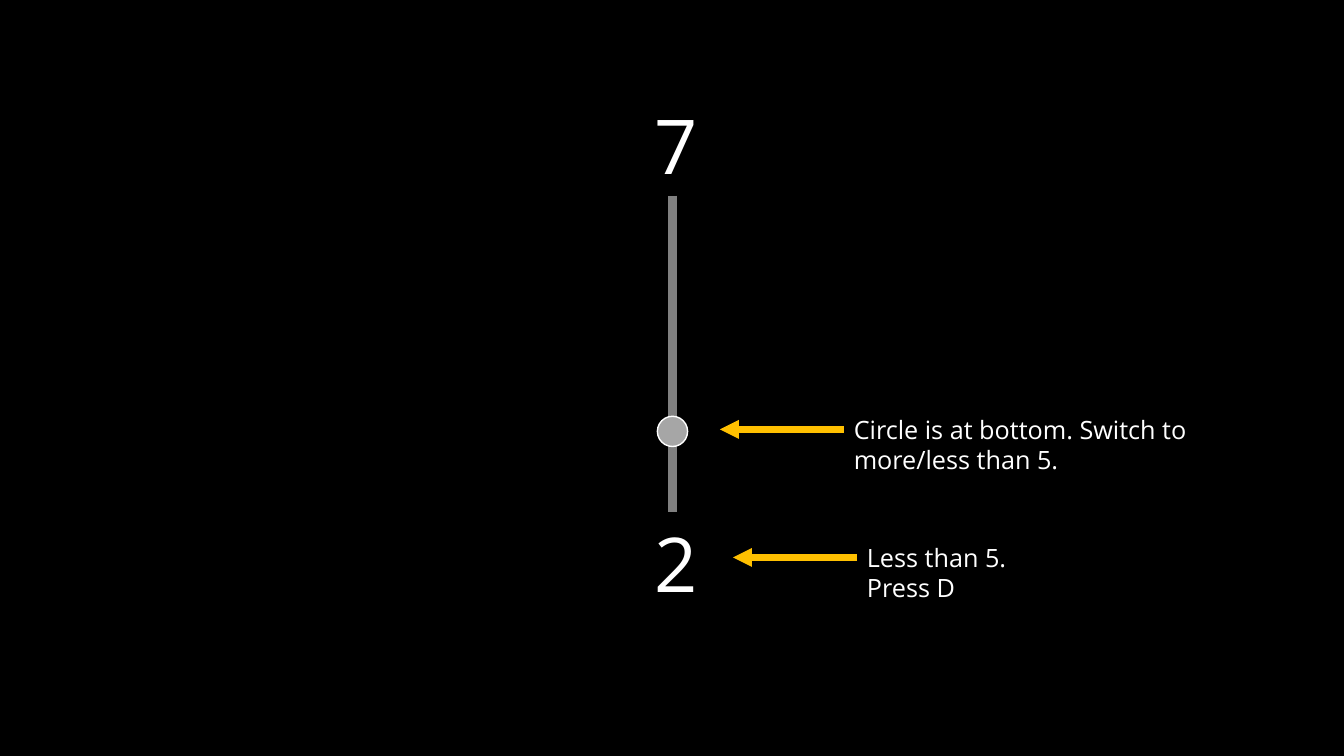
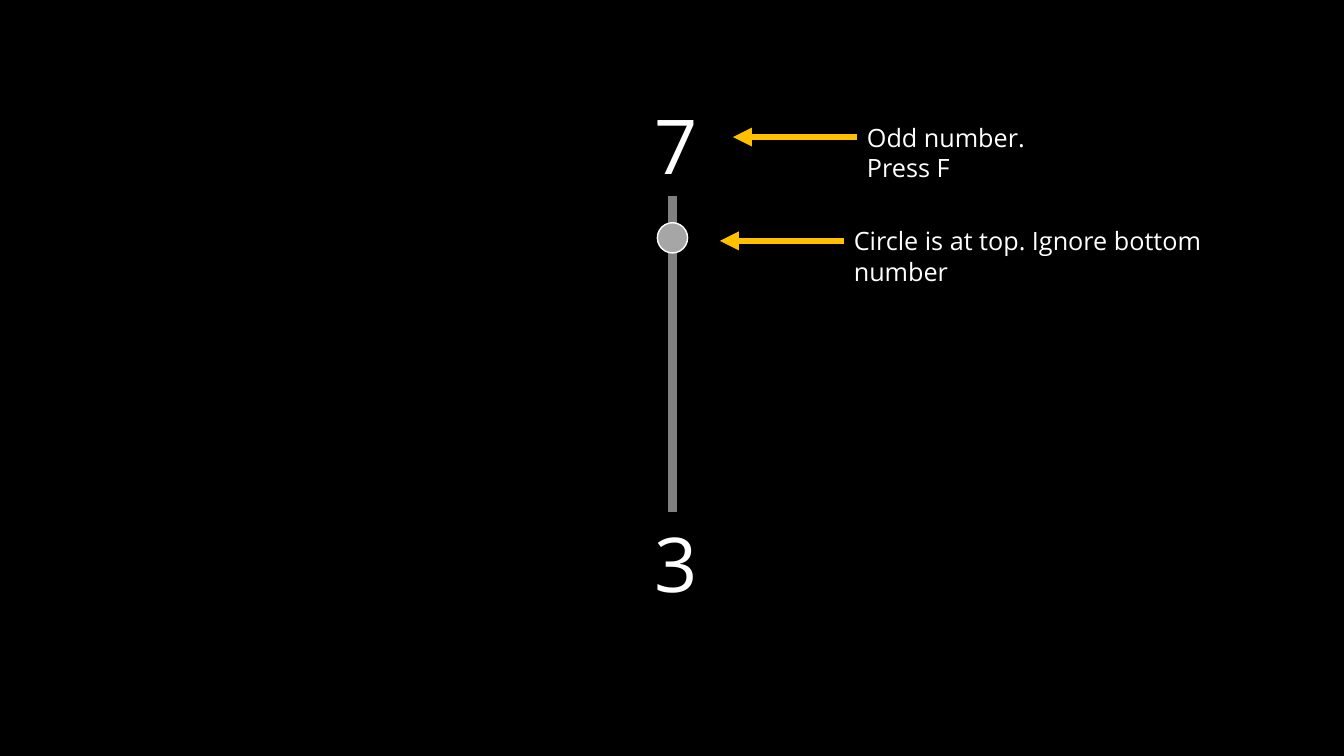
from pptx import Presentation
from pptx.dml.color import RGBColor
from pptx.enum import shapes, text
from pptx.oxml.ns import qn
from pptx.util import Inches, Pt
from lxml import etree

# Content: top number, bottom number, circle top, notes (text, left, arrow height, width)
SLIDES = [
    ("7", "2", 4.13, [
        ("Less than 5. Press D", 8.5, 5.53, 2.07),
        ("Circle is at bottom. Switch to more/less than 5.", 8.37, 4.26, 4.5)]),
    ("7", "3", 2.21, [
        ("Odd number. Press F", 8.5, 1.36, 2.2),
        ("Circle is at top. Ignore bottom number", 8.37, 2.39, 3.83)]),
]

# Shared style
FONT = "Open Sans"
BLACK, WHITE, GOLD = "000000", "FFFFFF", "FFC000"
TRACK_GRAY, CIRCLE_GRAY = "808080", "A6A6A6"
TRACK_X, TRACK_TOP, TRACK_BOTTOM = 6.67, 1.94, 5.08
NUMBER_LEFT, NUMBER_W, NUMBER_H = 6.39, 0.54, 1.01
CIRCLE = 0.3
ARROW = 1.23
NOTE_H = 0.4


def color(value):
    return RGBColor.from_string(value)


def add_text(s, words, left, top, width, height, size, wrap):
    tf = s.shapes.add_textbox(Inches(left), Inches(top),
                              Inches(width), Inches(height)).text_frame
    tf.word_wrap = wrap
    tf.auto_size = text.MSO_AUTO_SIZE.SHAPE_TO_FIT_TEXT
    tf.text = words
    font = tf.paragraphs[0].runs[0].font
    font.name, font.size = FONT, Pt(size)
    font.color.rgb = color(WHITE)


def add_line(s, x1, y1, x2, y2, line_color, width, arrow=False):
    line = s.shapes.add_connector(shapes.MSO_CONNECTOR.STRAIGHT,
                                  Inches(x1), Inches(y1), Inches(x2), Inches(y2))
    line.line.color.rgb = color(line_color)
    line.line.width = Pt(width)
    if arrow:
        etree.SubElement(line.line._get_or_add_ln(), qn("a:tailEnd"), type="triangle")
    etree.SubElement(line._element.spPr, qn("a:effectLst"))


def add_circle(s, top):
    sp = s.shapes.add_shape(shapes.MSO_SHAPE.OVAL, Inches(TRACK_X - CIRCLE / 2),
                            Inches(top), Inches(CIRCLE), Inches(CIRCLE))
    sp.shadow.inherit = False
    sp.fill.solid()
    sp.fill.fore_color.rgb = color(CIRCLE_GRAY)
    sp.line.color.rgb = color(WHITE)
    sp.line.width = Pt(1)


prs = Presentation()
prs.slide_width, prs.slide_height = Inches(13.33), Inches(7.5)

# Shared black background
background = prs.slide_master.background.fill
background.solid()
background.fore_color.rgb = color(BLACK)

for top_number, bottom_number, circle_top, notes in SLIDES:
    s = prs.slides.add_slide(prs.slide_layouts[6])

    # Track with a number at each end
    for number, top in ((top_number, TRACK_TOP - NUMBER_H), (bottom_number, TRACK_BOTTOM)):
        add_text(s, number, NUMBER_LEFT, top, NUMBER_W, NUMBER_H, 54, False)
    add_line(s, TRACK_X, TRACK_TOP, TRACK_X, TRACK_BOTTOM, TRACK_GRAY, 6)
    add_circle(s, circle_top)

    # Notes, each with an arrow pointing left
    for words, left, y, width in notes:
        add_line(s, left, y, left - ARROW, y, GOLD, 4.5, arrow=True)
        add_text(s, words, left, y - NOTE_H / 2, width, NOTE_H, 18, True)

prs.save("out.pptx")
